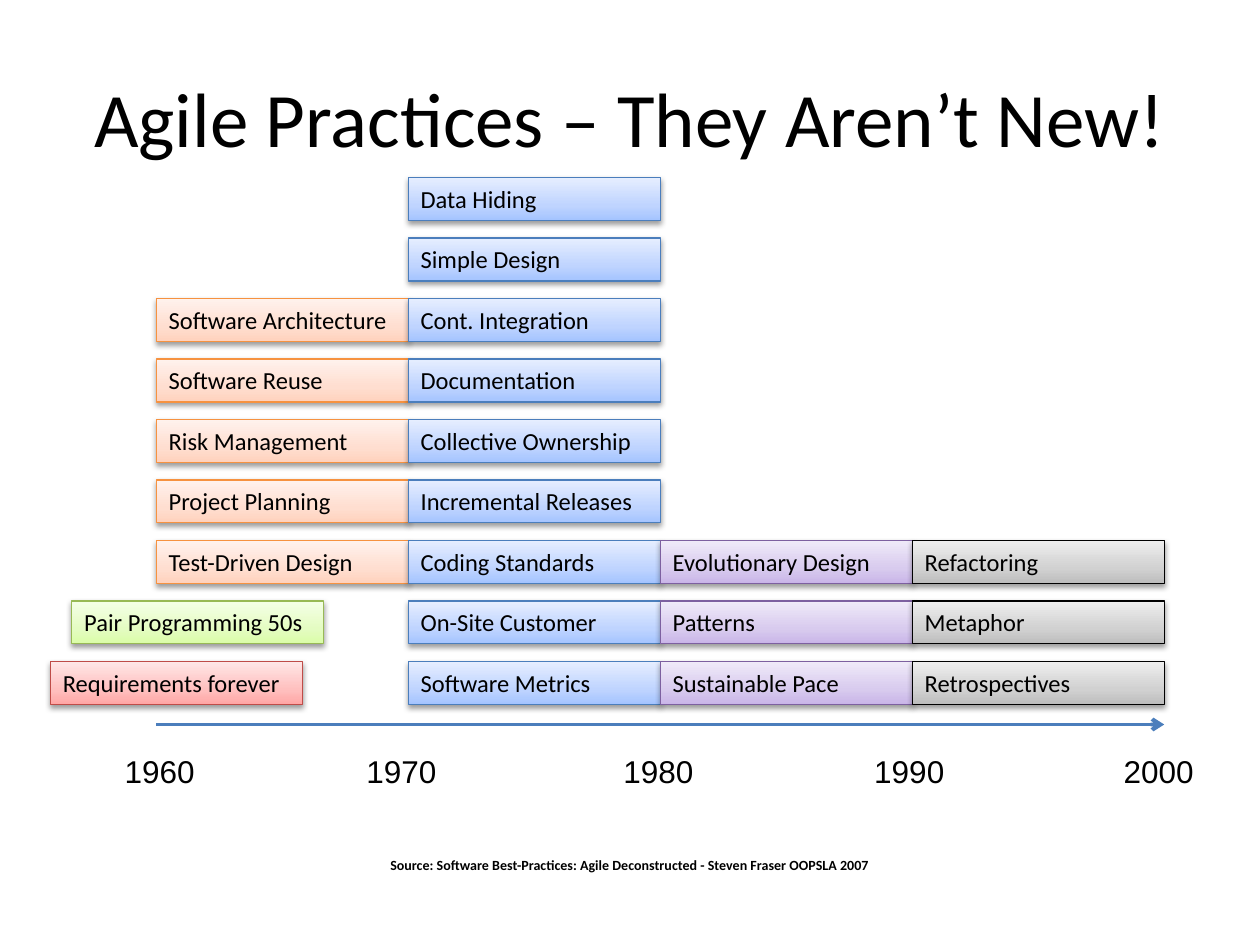
from copy import deepcopy
from dataclasses import dataclass

from lxml import etree
from pptx import Presentation
from pptx import util as u
from pptx.dml.color import RGBColor
from pptx.enum import shapes, text
from pptx.oxml import ns


@dataclass(frozen=True)
class Theme:
    heading_font: str = "Calibri"
    year_font: str = "Arial"
    ink: str = "000000"
    axis: str = "4B7EBC"
    title_size: int = 44
    year_size: int = 18
    practice_size: int = 14
    source_size: int = 8


THEME = Theme()

# Colours of each era: border, then gradient from bottom to top
PALETTES = {
    "red": ("BF4C48", "FFA6A5", "FFC0BF", "FFE7E7"),
    "green": ("98B955", "DAFDA7", "E4FCC2", "F5FFE7"),
    "orange": ("F69240", "FFD2BD", "FFDED0", "FFF2ED"),
    "blue": ("4B7EBC", "A4C4FF", "BFD4FF", "E6EEFF"),
    "purple": ("7D60A0", "C9B5E8", "D8CBEE", "F0EAF9"),
    "grey": ("000000", "BDBDBD", "D1D1D1", "EEEEEE"),
}
GRADIENT_POSITIONS = (0, 0.35, 1)

# Grid: one column per decade, rows counted from the top
GRID_LEFT, GRID_TOP = 1.24, 1.41
DECADE_WIDTH, ROW_STEP, BOX_HEIGHT = 2, 0.48, 0.34
AXIS_Y = 5.75
YEAR_TOP, YEAR_WIDTH, YEAR_HEIGHT = 5.92, 0.76, 0.4

# Palette, column, first row, practices from top to bottom
STACKS = [
    ("red", -0.42, 8, ["Requirements forever"]),
    ("green", -0.335, 7, ["Pair Programming 50s"]),
    ("orange", 0, 2, ["Software Architecture", "Software Reuse", "Risk Management",
                      "Project Planning", "Test-Driven Design"]),
    ("blue", 1, 0, ["Data Hiding", "Simple Design", "Cont. Integration",
                    "Documentation", "Collective Ownership", "Incremental Releases",
                    "Coding Standards", "On-Site Customer", "Software Metrics"]),
    ("purple", 2, 6, ["Evolutionary Design", "Patterns", "Sustainable Pace"]),
    ("grey", 3, 6, ["Refactoring", "Metaphor", "Retrospectives"]),
]
YEAR_LEFTS = {1960: 0.89, 1970: 2.81, 1980: 4.85, 1990: 6.84, 2000: 8.82}


def inches(*lengths):
    return [u.Inches(length) for length in lengths]


def write(shape, words, size, font=THEME.heading_font, bold=False,
          align=text.PP_ALIGN.LEFT):
    shape.text_frame.text = words
    para = shape.text_frame.paragraphs[0]
    para.alignment = align
    span = para.runs[0]
    span.font.size = u.Pt(size)
    span.font.name = font
    span.font.bold = bold
    span.font.color.rgb = RGBColor.from_string(THEME.ink)


def fill_gradient(shape, colours):
    fill = shape.fill
    fill.gradient()
    fill.gradient_angle = 90
    stop_list = shape._element.spPr.find(".//" + ns.qn("a:gsLst"))
    stop_list.append(deepcopy(stop_list[-1]))
    for stop, colour, position in zip(fill.gradient_stops, colours, GRADIENT_POSITIONS):
        stop.color.rgb = RGBColor.from_string(colour)
        stop.position = position


def add_shadow(shape):
    shape.shadow.inherit = False
    effects = shape._element.spPr.find(ns.qn("a:effectLst"))
    shadow = etree.SubElement(effects, ns.qn("a:outerShdw"), blurRad=str(u.Pt(3.1)),
                              dist=str(u.Pt(1.6)), dir="5400000", rotWithShape="0")
    colour = etree.SubElement(shadow, ns.qn("a:srgbClr"), val="000000")
    etree.SubElement(colour, ns.qn("a:alpha"), val="38000")


def add_practice(page, words, column, row, palette):
    border, *gradient = PALETTES[palette]
    box = page.shapes.add_shape(
        shapes.MSO_SHAPE.RECTANGLE,
        *inches(GRID_LEFT + column * DECADE_WIDTH, GRID_TOP + row * ROW_STEP,
                DECADE_WIDTH, BOX_HEIGHT))
    fill_gradient(box, gradient)
    box.line.color.rgb = RGBColor.from_string(border)
    box.line.width = u.Pt(0.75)
    add_shadow(box)
    write(box, words, THEME.practice_size)
    box.text_frame.word_wrap = True
    box.text_frame.vertical_anchor = text.MSO_ANCHOR.TOP
    box.text_frame.auto_size = text.MSO_AUTO_SIZE.SHAPE_TO_FIT_TEXT


def add_axis(page):
    axis = page.shapes.add_connector(
        shapes.MSO_CONNECTOR.STRAIGHT,
        *inches(GRID_LEFT, AXIS_Y, GRID_LEFT + 4 * DECADE_WIDTH, AXIS_Y))
    axis.line.color.rgb = RGBColor.from_string(THEME.axis)
    axis.line.width = u.Pt(2.25)
    etree.SubElement(axis.line._get_or_add_ln(), ns.qn("a:tailEnd"), type="arrow")
    etree.SubElement(axis._element.spPr, ns.qn("a:effectLst"))


def add_year(page, year, left):
    box = page.shapes.add_textbox(*inches(left, YEAR_TOP, YEAR_WIDTH, YEAR_HEIGHT))
    write(box, str(year), THEME.year_size, THEME.year_font)
    box.text_frame.word_wrap = False
    box.text_frame.auto_size = text.MSO_AUTO_SIZE.SHAPE_TO_FIT_TEXT


def add_title(page, words):
    title = page.shapes.title
    title.left, title.top, title.width, title.height = inches(0.5, 0.3, 9, 1.25)
    write(title, words, THEME.title_size, align=text.PP_ALIGN.CENTER)
    title.text_frame.vertical_anchor = text.MSO_ANCHOR.MIDDLE


def add_source(page, words):
    box = page.shapes.add_textbox(*inches(0.5, 6.75, 9, 0.25))
    write(box, words, THEME.source_size, bold=True, align=text.PP_ALIGN.CENTER)
    box.text_frame.word_wrap = True


def main():
    deck = Presentation()
    deck.slide_width, deck.slide_height = inches(10, 7.5)
    page = deck.slides.add_slide(deck.slide_layouts.get_by_name("Title Only"))

    add_title(page, "Agile Practices – They Aren’t New!")
    add_source(page, "Source: Software Best-Practices: Agile Deconstructed"
                     " - Steven Fraser OOPSLA 2007")

    # Timeline
    add_axis(page)
    for year, left in YEAR_LEFTS.items():
        add_year(page, year, left)

    # Practices by decade
    for palette, column, first_row, practices in STACKS:
        for row, practice in enumerate(practices, first_row):
            add_practice(page, practice, column, row, palette)

    deck.save("out.pptx")


if __name__ == "__main__":
    main()
